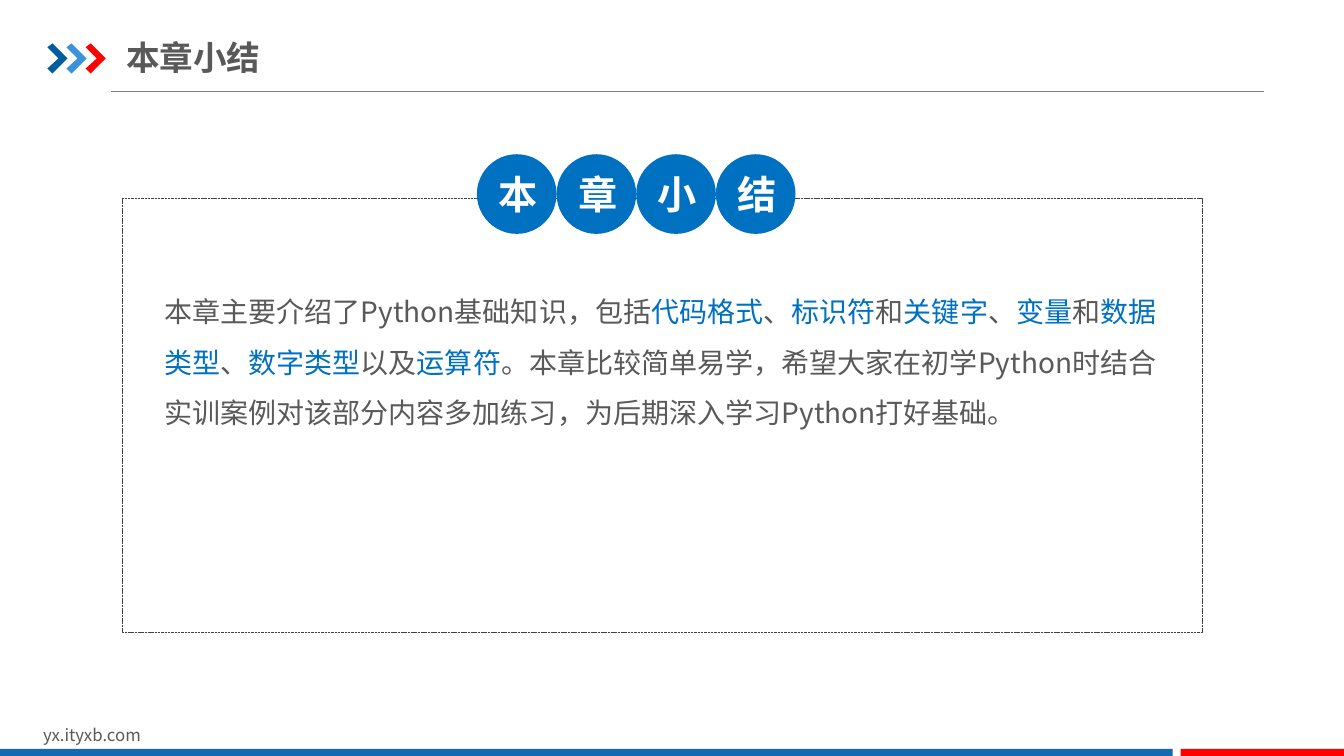
from pptx import Presentation
from pptx.dml.color import RGBColor
from pptx.enum.dml import MSO_LINE
from pptx.enum.lang import MSO_LANGUAGE_ID
from pptx.enum.shapes import MSO_CONNECTOR, MSO_SHAPE
from pptx.enum.text import MSO_ANCHOR, MSO_AUTO_SIZE, PP_ALIGN
from pptx.oxml.ns import qn
from pptx.util import Pt

PX = 9144  # 100 px to the inch
RECT, ROUND, OVAL = MSO_SHAPE.RECTANGLE, MSO_SHAPE.ROUNDED_RECTANGLE, MSO_SHAPE.OVAL
LEFT, CENTER, JUSTIFY = PP_ALIGN.LEFT, PP_ALIGN.CENTER, PP_ALIGN.JUSTIFY
TOP, MIDDLE = MSO_ANCHOR.TOP, MSO_ANCHOR.MIDDLE
FIXED, GROW = MSO_AUTO_SIZE.NONE, MSO_AUTO_SIZE.SHAPE_TO_FIT_TEXT
STRAIGHT, DASH = MSO_CONNECTOR.STRAIGHT, MSO_LINE.SQUARE_DOT
CHINESE = MSO_LANGUAGE_ID.SIMPLIFIED_CHINESE

THEME = {
    "font": "Noto Sans CJK SC",
    "text": "595959", "accent": "0070C0", "white": "FFFFFF",
    "rule": "808080", "frame": "404040", "bar": "1369B2", "red": "FF0000",
    "chevrons": ("005DA2", "3992DB", "FF0000"),
    "title": 24, "body": 20, "badge": 28, "site": 12,
}


def color(name):
    return RGBColor.from_string(THEME.get(name, name))


def write(shape, runs, size, bold=False, align=LEFT, space=1.0, **frame):
    """Fill a shape with one paragraph of (text, colour) runs."""
    for key, value in {"word_wrap": True, "auto_size": FIXED, **frame}.items():
        setattr(shape.text_frame, key, value)
    para = shape.text_frame.paragraphs[0]
    para.alignment, para.line_spacing = align, space
    for text, tint in runs:
        run = para.add_run()
        run.text = text
        look = {"name": THEME["font"], "size": Pt(THEME[size]),
                "bold": bold, "language_id": CHINESE}
        for key, value in look.items():
            setattr(run.font, key, value)
        run.font.color.rgb = color(tint)
        east = run.font._element.makeelement(qn("a:ea"), {"typeface": THEME["font"]})
        run.font._element.find(qn("a:latin")).addnext(east)


deck = Presentation()
deck.slide_width, deck.slide_height = 1333 * PX, 750 * PX
slide = deck.slides.add_slide(deck.slide_layouts[5])
shapes = slide.shapes

# Header
rule = shapes.add_connector(STRAIGHT, 110 * PX, 91 * PX, 1254 * PX, 91 * PX)
rule.line.color.rgb = color("rule")
rule.line.width = Pt(0.75)
props = rule._element.spPr
props.append(props.makeelement(qn("a:effectLst"), {}))

for i, tint in enumerate(THEME["chevrons"]):
    x, y = 47 + 19 * i, 43
    outline = [(x + dx, y + dy) for dx, dy in
               ((0, 4), (5, 0), (20, 15), (5, 30), (0, 25), (11, 15))]
    pen = shapes.build_freeform(*outline[0], scale=PX)
    pen.add_line_segments(outline[1:], close=True)
    chevron = pen.convert_to_shape()
    chevron.shadow.inherit = False
    chevron.fill.solid()
    chevron.fill.fore_color.rgb = color(tint)
    chevron.line.fill.background()

title = shapes.title
place = {"left": 125, "top": 29, "width": 620, "height": 55}
for key, value in place.items():
    setattr(title, key, value * PX)
write(title, [("本章小结", "text")], "title", bold=True, vertical_anchor=MIDDLE,
      margin_left=0, margin_right=0, margin_top=7 * PX, margin_bottom=7 * PX)

# Footer
site = shapes.add_textbox(33 * PX, 714 * PX, 318 * PX, 30 * PX)
write(site, [("yx.ityxb.com", "text")], "site", auto_size=GROW)

# Summary frame
frame = shapes.add_shape(ROUND, 121 * PX, 197 * PX, 1071 * PX, 430 * PX)
frame.adjustments[0] = 0
frame.shadow.inherit = False
frame.fill.background()
frame.line.color.rgb = color("frame")
frame.line.width = Pt(0.25)
frame.line.dash_style = DASH

# Every second piece is a highlighted term
summary = ("本章主要介绍了Python基础知识，包括|代码格式|、|标识符|和|关键字|、|变量|和|"
           "数据类型|、|数字类型|以及|运算符|。本章比较简单易学，希望大家在初学Python时"
           "结合实训案例对该部分内容多加练习，为后期深入学习Python打好基础。")
runs = [(text, "accent" if i % 2 else "text")
        for i, text in enumerate(summary.split("|"))]
body = shapes.add_textbox(163 * PX, 276 * PX, 984 * PX, 151 * PX)
write(body, runs, "body", align=JUSTIFY, space=1.5, auto_size=GROW, vertical_anchor=TOP,
      margin_left=0, margin_right=0, margin_top=0, margin_bottom=0)

# Footer bars and the badges on the frame
solids = [(RECT, 0, 743, 1163, 9, "bar", ""), (RECT, 1171, 743, 163, 9, "red", "")]
solids += [(OVAL, 473 + 79 * i, 153, 79, 79, "accent", char)
           for i, char in enumerate("本章小结")]
for kind, x, y, w, h, tint, char in solids:
    solid = shapes.add_shape(kind, x * PX, y * PX, w * PX, h * PX)
    solid.shadow.inherit = False
    solid.fill.solid()
    solid.fill.fore_color.rgb = color(tint)
    solid.line.fill.background()
    if char:
        write(solid, [(char, "white")], "badge", bold=True, align=CENTER,
              vertical_anchor=MIDDLE)

deck.save("out.pptx")
